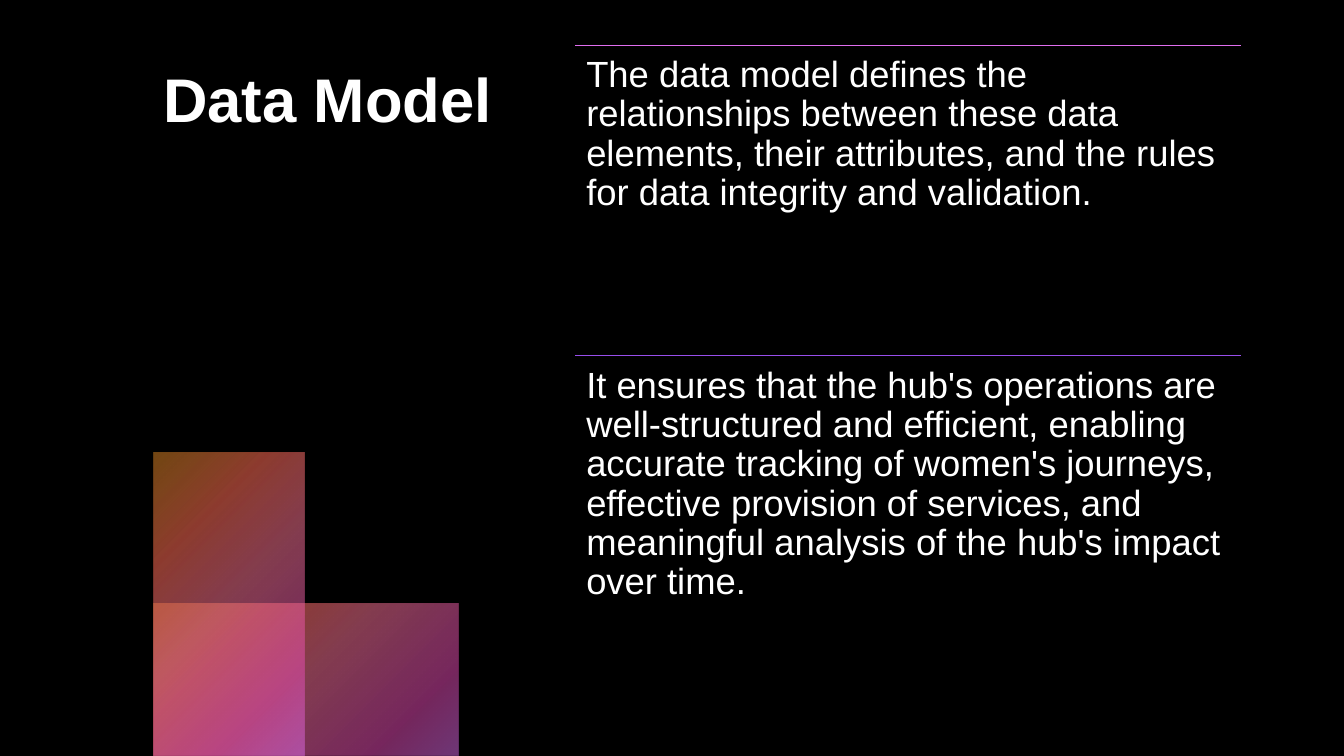
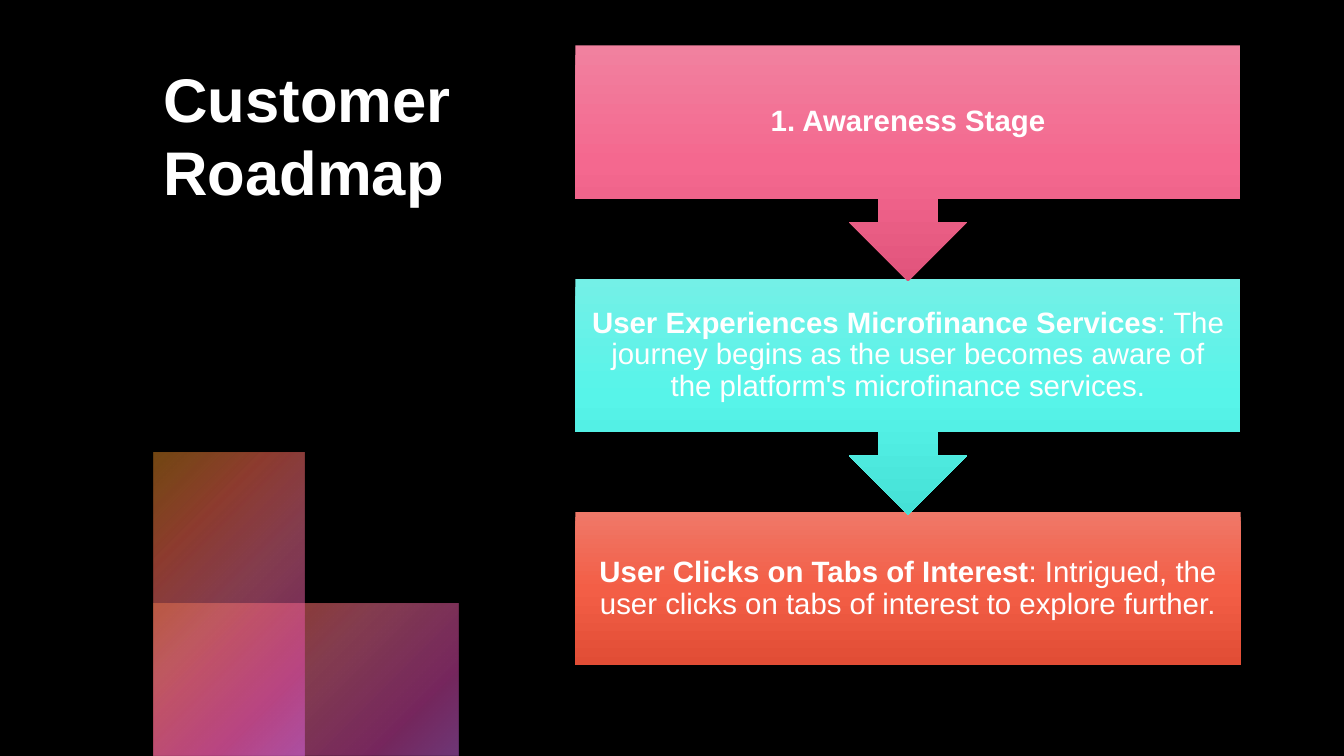
from lxml import etree
from pptx import Presentation
from pptx.dml.color import RGBColor
from pptx.enum.shapes import MSO_CONNECTOR, MSO_SHAPE
from pptx.enum.text import MSO_ANCHOR, MSO_AUTO_SIZE, PP_ALIGN
from pptx.oxml.ns import qn
from pptx.util import Pt

RECT, CALLOUT = MSO_SHAPE.RECTANGLE, MSO_SHAPE.DOWN_ARROW_CALLOUT
LINE = MSO_CONNECTOR.STRAIGHT
TOP, MIDDLE = MSO_ANCHOR.TOP, MSO_ANCHOR.MIDDLE
LEFT, CENTER = PP_ALIGN.LEFT, PP_ALIGN.CENTER
FIXED = MSO_AUTO_SIZE.NONE

BLACK = RGBColor(0x00, 0x00, 0x00)
WHITE = RGBColor(0xFF, 0xFF, 0xFF)
AMBER = RGBColor(0xE3, 0x8E, 0x25)
CORAL = RGBColor(0xEB, 0x64, 0x4E)
ROSE = RGBColor(0xEE, 0x6E, 0x92)
PINK = RGBColor(0xEB, 0x4E, 0xBB)
ORCHID = RGBColor(0xE0, 0x6E, 0xEE)
VIOLET = RGBColor(0x98, 0x4E, 0xEB)
PINKS = [RGBColor(0xF1, 0x81, 0x9F), RGBColor(0xF4, 0x68, 0x8F), RGBColor(0xE1, 0x54, 0x7C)]
AQUAS = [RGBColor(0x74, 0xF0, 0xE7), RGBColor(0x57, 0xF4, 0xE9), RGBColor(0x45, 0xE1, 0xD6)]
REDS = [RGBColor(0xEF, 0x78, 0x68), RGBColor(0xF3, 0x5E, 0x46), RGBColor(0xE1, 0x4D, 0x35)]
GLOW = [(0, AMBER, 50), (25, CORAL, 60), (50, ROSE, 55), (81, PINK, 50), (99, ORCHID, 50)]

X, Y, W = 411, 32.4, 475.2


def block(slide, kind, box, stops, round_fill=False):
    shape = slide.shapes.add_shape(kind, *map(Pt, box))
    shape.shadow.inherit = False
    shape.line.fill.background()
    shape.fill.background()
    fill = etree.Element(qn("a:gradFill"), rotWithShape="1")
    stop_list = etree.SubElement(fill, qn("a:gsLst"))
    for pos, color, alpha in stops:
        stop = etree.SubElement(stop_list, qn("a:gs"), pos=str(pos * 1000))
        tone = etree.SubElement(stop, qn("a:srgbClr"), val=str(color))
        if alpha < 100:
            etree.SubElement(tone, qn("a:alpha"), val=str(alpha * 1000))
    if round_fill:
        way = etree.SubElement(fill, qn("a:path"), attrib={"path": "circle"})
        etree.SubElement(way, qn("a:fillToRect"), r="100000", b="100000")
    else:
        etree.SubElement(fill, qn("a:lin"), ang="5400000", scaled="0")
    props = shape.element.spPr
    props.replace(props.find(qn("a:noFill")), fill)
    return shape


def write(shape, runs, size, inset, anchor, align, space):
    frame = shape.text_frame
    look = {"word_wrap": True, "auto_size": FIXED, "vertical_anchor": anchor}
    for side in ("left", "top", "right", "bottom"):
        look["margin_" + side] = Pt(inset)
    for name, value in look.items():
        setattr(frame, name, value)
    para = frame.paragraphs[0]
    para.alignment = align
    para.line_spacing = space
    for text, bold in runs:
        run = para.add_run()
        run.text = text
        for name, value in {"name": "Arial", "size": Pt(size), "bold": bold}.items():
            setattr(run.font, name, value)
        run.font.color.rgb = WHITE


deck = Presentation()
deck.slide_width, deck.slide_height = Pt(960), Pt(540)
back = deck.slide_master.background.fill
back.solid()
back.fore_color.rgb = BLACK

slides = []
for name in ("Data Model", "Customer Roadmap"):
    slide = deck.slides.add_slide(deck.slide_layouts[5])
    for box in ((109.4, 431, 218.2, 109), (109.4, 323, 108.4, 217)):
        block(slide, RECT, box, GLOW, True)
    title = slide.shapes.title
    spot = {"left": 109.4, "top": 36, "width": 250.6, "height": 267}
    for side, value in spot.items():
        setattr(title, side, Pt(value))
    write(title, [(name, True)], 44, 7.2, TOP, LEFT, 1.0)
    slides.append(slide)
model, roadmap = slides

NOTES = [
    (ORCHID, "The data model defines the relationships between these data elements, "
     "their attributes, and the rules for data integrity and validation."),
    (VIOLET, "It ensures that the hub's operations are well-structured and efficient, "
     "enabling accurate tracking of women's journeys, effective provision of services, "
     "and meaningful analysis of the hub's impact over time."),
]
NOTE_H = 221.8
for i, (color, text) in enumerate(NOTES):
    y = Y + i * NOTE_H
    rule = model.shapes.add_connector(LINE, Pt(X), Pt(y), Pt(X + W), Pt(y))
    rule.line.color.rgb = color
    rule.line.width = Pt(0.5)
    etree.SubElement(rule.element.spPr, qn("a:effectLst"))
    note = model.shapes.add_textbox(Pt(X), Pt(y), Pt(W), Pt(NOTE_H))
    write(note, [(text, False)], 26, 7.8, TOP, LEFT, 0.9)

STAGES = [
    (CALLOUT, 168.5, PINKS, [("1. Awareness Stage", True)]),
    (CALLOUT, 168.5, AQUAS, [
        ("User Experiences Microfinance Services", True),
        (": The journey begins as the user becomes aware of the platform's "
         "microfinance services.", False)]),
    (RECT, 109.5, REDS, [
        ("User Clicks on Tabs of Interest", True),
        (": Intrigued, the user clicks on tabs of interest to explore further.", False)]),
]
STEP = 166.7
for i, (kind, height, tones, runs) in reversed(list(enumerate(STAGES))):
    stops = [(n * 50, tone, 100) for n, tone in enumerate(tones)]
    stage = block(roadmap, kind, (X, Y + i * STEP, W, height), stops)
    write(stage, runs, 21, 11.5, MIDDLE, CENTER, 0.9)

deck.save("out.pptx")
